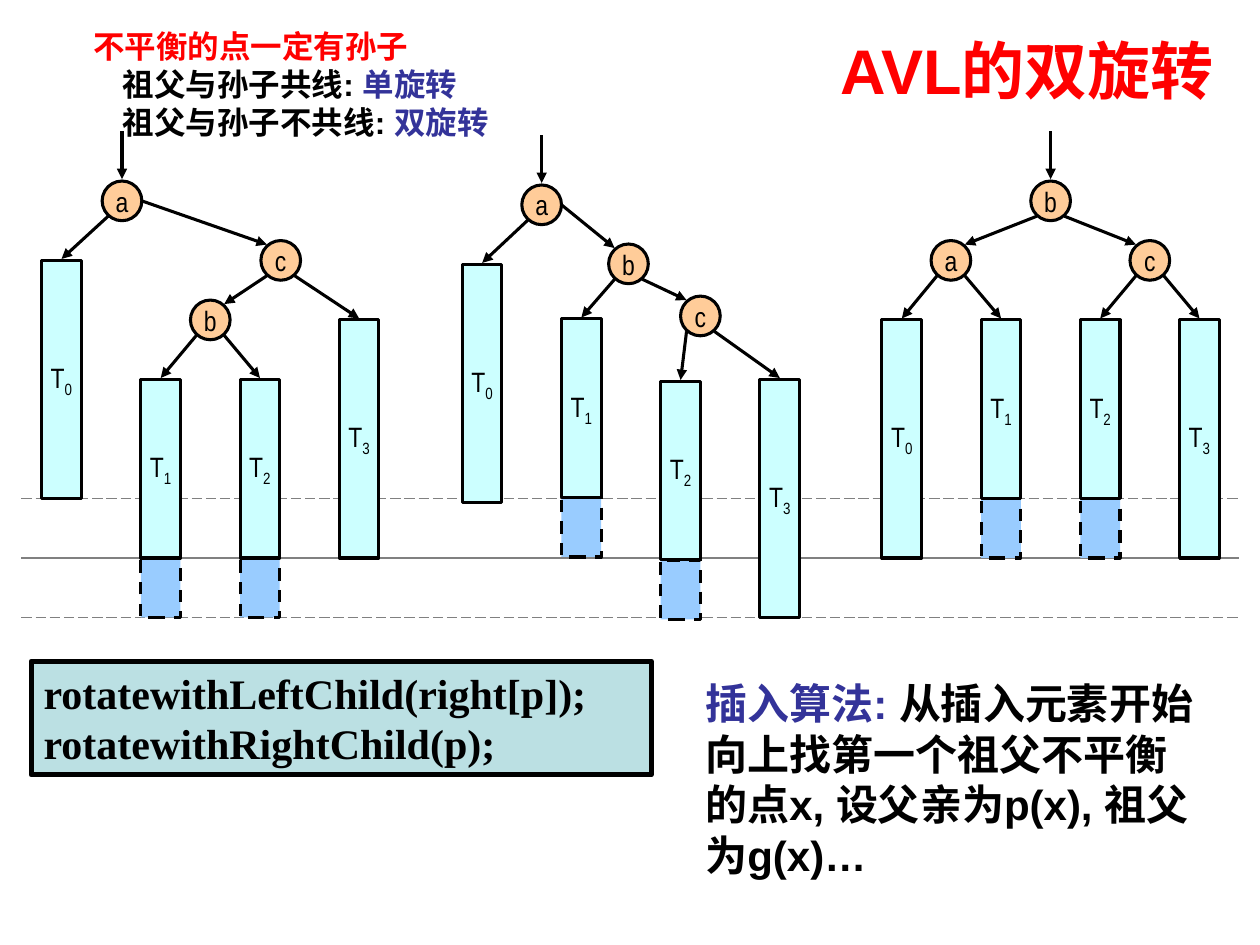
from lxml import etree
from pptx import Presentation
from pptx.dml.color import RGBColor
from pptx.enum import dml, shapes, text
from pptx.oxml import ns
from pptx.util import Cm, Pt

BLACK = RGBColor(0x00, 0x00, 0x00)
RED = RGBColor(0xFF, 0x00, 0x00)
INDIGO = RGBColor(0x33, 0x33, 0x99)
GRAY = RGBColor(0x80, 0x80, 0x80)
NODE_FILL = RGBColor(0xFF, 0xCC, 0x99)
SUBTREE_FILL = RGBColor(0xCC, 0xFF, 0xFF)
GROWTH_FILL = RGBColor(0x99, 0xCC, 0xFF)
CODE_FILL = RGBColor(0xBB, 0xE0, 0xE3)

# Tree geometry in centimetres
SIZE = 0.8
BAR_STEP = 2
LEVEL = 1.2
BAR_HEIGHTS = (4.8, 3.6, 3.6, 4.8)
GROWING_BARS = (1, 2)
LINE_WIDTH = 1.75

# Each edge names a parent node and a child node or subtree number
TREES = (
    dict(left=0.84, tops=(5.25, 7.65, 7.65, 6.45), root="a", side_exit=True,
         nodes={"a": (2.06, 3.65), "c": (5.26, 4.85), "b": (3.84, 6.05)},
         edges="a0 ac cb c3 b1 b2"),
    dict(left=9.32, tops=(5.33, 6.43, 7.69, 7.65), root="a", side_exit=True,
         nodes={"a": (10.52, 3.73), "b": (12.27, 4.92), "c": (13.72, 5.97)},
         edges="a0 ab b1 bc c2 c3"),
    dict(left=17.78, tops=(6.45,) * 4, root="b", side_exit=False,
         nodes={"b": (20.78, 3.65), "a": (18.77, 4.85), "c": (22.78, 4.85)},
         edges="ba bc a0 a1 c2 c3"),
)


def write_text(shape, paragraphs, size, font="Arial", bold=False, align=None,
               anchor=text.MSO_ANCHOR.TOP, wrap=True, space_before=0, indents=()):
    """Each paragraph is a list of (words, colour) or (words, colour, baseline)."""
    frame = shape.text_frame
    frame.auto_size = text.MSO_AUTO_SIZE.NONE
    frame.word_wrap = wrap
    frame.vertical_anchor = anchor
    for index, pieces in enumerate(paragraphs):
        paragraph = frame.paragraphs[0] if index == 0 else frame.add_paragraph()
        paragraph.alignment = align or text.PP_ALIGN.LEFT
        paragraph.space_before = Pt(space_before)
        if indents:
            paragraph._p.get_or_add_pPr().set("marL", str(Cm(indents[index])))
        for words, color, *baseline in pieces:
            run = paragraph.add_run()
            run.text = words
            run.font.name = font
            run.font.size = Pt(size)
            run.font.bold = bold
            run.font.color.rgb = color
            if baseline:
                run._r.get_or_add_rPr().set("baseline", str(baseline[0]))


def add_box(slide, kind, left, top, width, height, fill, line_width=LINE_WIDTH, dash=None):
    shape = slide.shapes.add_shape(kind, Cm(left), Cm(top), Cm(width), Cm(height))
    shape.shadow.inherit = False
    shape.fill.solid()
    shape.fill.fore_color.rgb = fill
    shape.line.color.rgb = BLACK
    shape.line.width = Pt(line_width)
    if dash:
        shape.line.dash_style = dash
    return shape


def add_line(slide, start, end, color=BLACK, width=LINE_WIDTH, dash=None, arrow=False):
    line = slide.shapes.add_connector(
        shapes.MSO_CONNECTOR.STRAIGHT, *(Cm(value) for value in (*start, *end)))
    line.line.color.rgb = color
    line.line.width = Pt(width)
    if dash:
        line.line.dash_style = dash
    if arrow:
        outline = line.line._get_or_add_ln()
        etree.SubElement(outline, ns.qn("a:tailEnd"), type="triangle")
    etree.SubElement(line._element.spPr, ns.qn("a:effectLst"))


def add_label(shape, pieces):
    write_text(shape, [pieces], 16, font="Arial Narrow", align=text.PP_ALIGN.CENTER,
               anchor=text.MSO_ANCHOR.MIDDLE, wrap=False)


def add_text_box(slide, left, top, width, height, paragraphs, size, **formats):
    box = slide.shapes.add_textbox(Cm(left), Cm(top), Cm(width), Cm(height))
    write_text(box, paragraphs, size, **formats)


def add_subtree(slide, number, left, top):
    height = BAR_HEIGHTS[number]
    rectangle = shapes.MSO_SHAPE.RECTANGLE
    if number in GROWING_BARS:
        add_box(slide, rectangle, left, top + height, SIZE, LEVEL, GROWTH_FILL,
                dash=dml.MSO_LINE.DASH)
    bar = add_box(slide, rectangle, left, top, SIZE, height, SUBTREE_FILL)
    add_label(bar, [("T", BLACK), (str(number), BLACK, -25000)])


def add_edge(slide, parent, child, child_is_node, side_exit):
    to_right = child[0] > parent[0]
    if to_right and side_exit:
        start = (parent[0] + SIZE, parent[1] + SIZE / 2)
    else:
        start = (parent[0] + (0.68 if to_right else 0.12), parent[1] + 0.71)
    if child_is_node:
        end = (child[0] + (0.12 if to_right else 0.68), child[1] + 0.08)
    else:
        end = (child[0] + SIZE / 2, child[1] - 0.03)
    add_line(slide, start, end, arrow=True)


def add_tree(slide, left, tops, root, side_exit, nodes, edges):
    places = dict(nodes)
    for number, top in enumerate(tops):
        places[str(number)] = (left + number * BAR_STEP, top)
        add_subtree(slide, number, *places[str(number)])
    for name, (node_left, node_top) in nodes.items():
        node = add_box(slide, shapes.MSO_SHAPE.OVAL, node_left, node_top, SIZE, SIZE, NODE_FILL)
        add_label(node, [(name, BLACK)])
    for parent, child in edges.split():
        add_edge(slide, places[parent], places[child], child in nodes,
                 side_exit and parent == root)
    # Arrow into the root
    root_left, root_top = nodes[root]
    center = root_left + SIZE / 2
    add_line(slide, (center, root_top - 1), (center, root_top - 0.04), arrow=True)


def add_title(slide):
    title = slide.shapes.title
    title.left, title.top, title.width, title.height = Cm(16.69), Cm(0.51), Cm(8.43), Cm(1.78)
    write_text(title, [[("AVL的双旋转", RED)]], 36, bold=True, wrap=False)


def main():
    presentation = Presentation()
    presentation.slide_width, presentation.slide_height = Cm(25.4), Cm(19.05)
    slide = presentation.slides.add_slide(presentation.slide_layouts[5])
    add_title(slide)

    # Depth lines
    long_dash = dml.MSO_LINE.LONG_DASH
    for level, dash in enumerate((long_dash, None, long_dash)):
        height = 10.05 + level * LEVEL
        add_line(slide, (0.43, height), (24.97, height), GRAY, 0.75, dash)

    # Before, between and after the two rotations
    for tree in TREES:
        add_tree(slide, **tree)

    # Code
    code = add_box(slide, shapes.MSO_SHAPE.RECTANGLE, 0.63, 13.33, 12.5, 2.29, CODE_FILL, 3)
    write_text(code, [[("rotatewithLeftChild(right[p]);", BLACK)],
                      [("rotatewithRightChild(p);", BLACK)]],
               24, font="Times New Roman", bold=True)

    # Rule for choosing the rotation
    add_text_box(slide, 1.63, 0.43, 8.76, 2.54,
                 [[("不平衡的点一定有孙子", RED)],
                  [("祖父与孙子共线: ", BLACK), ("单旋转", INDIGO)],
                  [("祖父与孙子不共线: ", BLACK), ("双旋转", INDIGO)]],
                 18, bold=True, wrap=False, indents=(0, 0.6, 0.6))

    # Insertion algorithm
    add_text_box(slide, 13.97, 13.54, 10.59, 4.32,
                 [[("插入算法: ", INDIGO),
                   ("从插入元素开始向上找第一个祖父不平衡的点x, 设父亲为p(x), 祖父为g(x)…", BLACK)]],
                 24, bold=True, space_before=15)

    presentation.save("out.pptx")


main()
